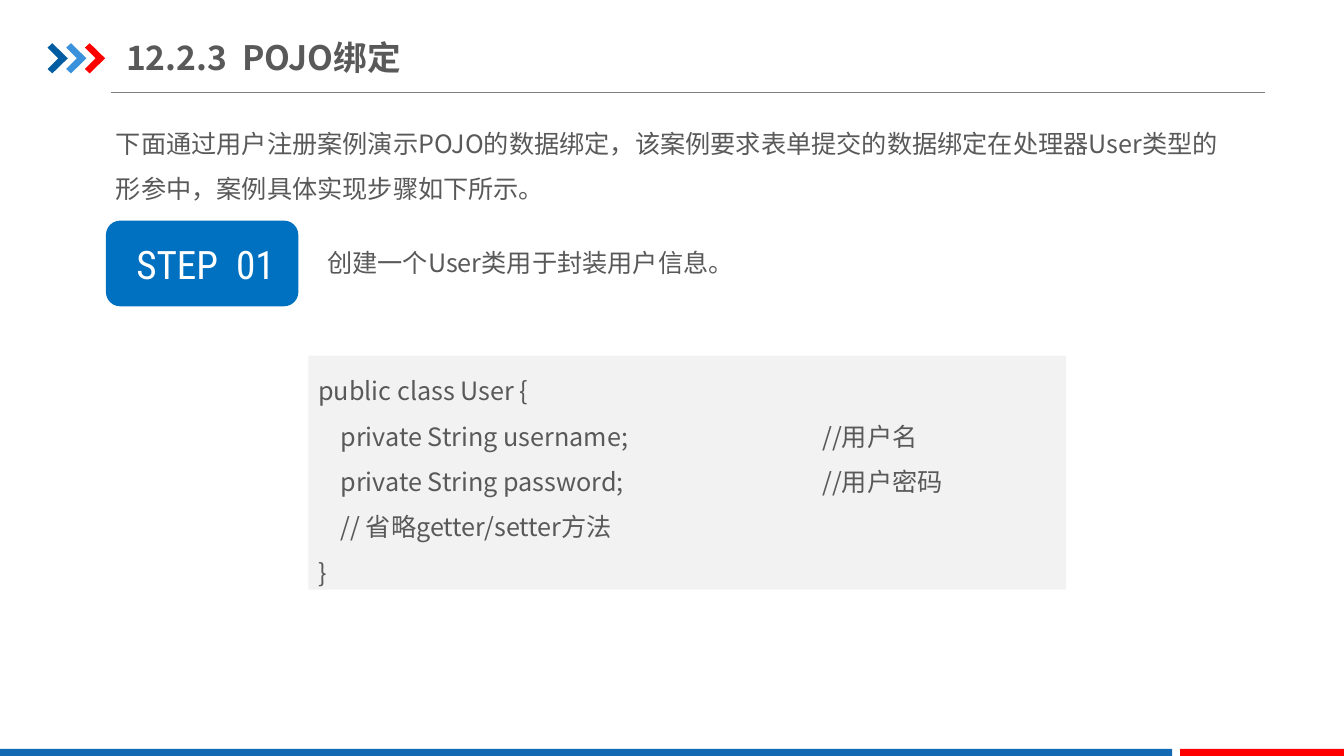
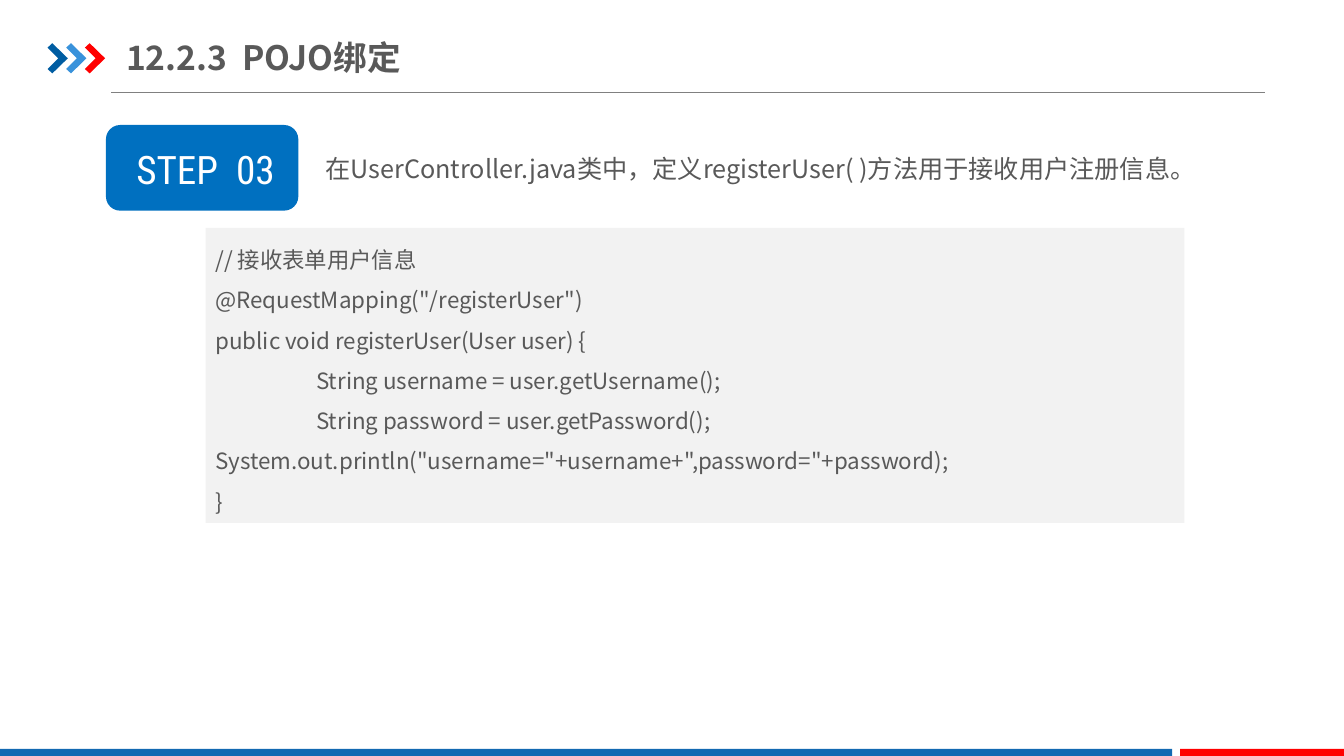
from dataclasses import dataclass

from lxml.etree import SubElement
from pptx import Presentation
from pptx.dml.color import RGBColor
from pptx.enum.shapes import MSO_CONNECTOR, MSO_SHAPE
from pptx.enum.text import MSO_ANCHOR, MSO_AUTO_SIZE, PP_ALIGN
from pptx.oxml.ns import qn
from pptx.util import Cm, Pt


@dataclass(frozen=True)
class Theme:
    text: str = "595959"
    white: str = "FFFFFF"
    rule: str = "808080"
    step: str = "0070C0"
    code: str = "F2F2F2"
    band: str = "1369B2"
    accent: str = "FF0000"
    chevrons: tuple = ("005DA2", "3992DB", "FF0000")
    font: str = "Noto Sans CJK SC"
    step_font: str = "Roboto Condensed"
    title_size: int = 24
    step_size: int = 28
    body_size: int = 18
    small_size: int = 16


T = Theme()
WIDTH, HEIGHT = 33.87, 19.05
TITLE = "12.2.3  POJO绑定"
CHEVRON = [(0, 0.11), (0.12, 0), (0.51, 0.38), (0.12, 0.76), (0, 0.65), (0.27, 0.38)]

# Boxes are (left, top, width, height) in centimetres; tabs are stops in centimetres.
SLIDES = [
    {
        "intro": {
            "text": "下面通过用户注册案例演示POJO的数据绑定，该案例要求表单提交的数据绑定在处理器User类型的形参中，案例具体实现步骤如下所示。",
            "box": (2.67, 2.72, 28.85, 2.57),
        },
        "step": {"text": "STEP  01", "top": 5.56},
        "task": {
            "text": "创建一个User类用于封装用户信息。",
            "box": (8, 5.72, 22.38, 1.4),
        },
        "code": {
            "lines": [
                "public class User {",
                "\tprivate String username;\t//用户名",
                "\tprivate String password;\t//用户密码",
                "\t// 省略getter/setter方法",
                "}",
            ],
            "box": (7.77, 8.96, 19.1, 5.9),
            "size": T.body_size,
            "tabs": (0.56, 12.7),
        },
    },
    {
        "step": {"text": "STEP  03", "top": 3.15},
        "task": {
            "text": "在UserController.java类中，定义registerUser( )方法用于接收用户注册信息。",
            "box": (7.95, 3.36, 23.57, 1.4),
        },
        "code": {
            "lines": [
                "// 接收表单用户信息",
                '@RequestMapping("/registerUser")',
                "public void registerUser(User user) {",
                "\tString username = user.getUsername();",
                "\tString password = user.getPassword();",
                'System.out.println("username="+username+",password="+password);',
                "}",
            ],
            "box": (5.18, 5.74, 24.67, 7.44),
            "size": T.small_size,
            "tabs": (2.54,),
        },
    },
]


def rgb(value):
    return RGBColor.from_string(value)


def paint(sp, color):
    """Give a shape a flat fill without outline or shadow."""
    sp.shadow.inherit = False
    sp.fill.solid()
    sp.fill.fore_color.rgb = rgb(color)
    sp.line.fill.background()
    return sp


def add_block(s, kind, box, color):
    return paint(s.shapes.add_shape(kind, *map(Cm, box)), color)


def add_textbox(s, box):
    return s.shapes.add_textbox(*map(Cm, box))


def write(sp, lines, *, size=T.body_size, color=T.text, font=T.font, bold=False,
          align=PP_ALIGN.LEFT, anchor=MSO_ANCHOR.TOP, spacing=None, grow=True,
          insets=None, tabs=()):
    """Write one paragraph per line into a shape."""
    tf = sp.text_frame
    tf.word_wrap = True
    tf.vertical_anchor = anchor
    tf.auto_size = MSO_AUTO_SIZE.SHAPE_TO_FIT_TEXT if grow else MSO_AUTO_SIZE.NONE
    if insets:
        tf.margin_left = tf.margin_right = Cm(insets[0])
        tf.margin_top = tf.margin_bottom = Cm(insets[1])
    for i, line in enumerate(lines):
        p = tf.add_paragraph() if i else tf.paragraphs[0]
        p.alignment = align
        if spacing:
            p.line_spacing = spacing
        if tabs:
            stops = SubElement(p._p.get_or_add_pPr(), qn("a:tabLst"))
            for stop in tabs:
                SubElement(stops, qn("a:tab"), pos=str(Cm(stop)), algn="l")
        r = p.add_run()
        r.text = line
        r.font.size = Pt(size)
        r.font.bold = bold
        r.font.name = font
        r.font.color.rgb = rgb(color)
        SubElement(r._r.get_or_add_rPr(), qn("a:ea"), typeface=font)


def add_frame(s):
    """Draw the rule, chevrons, footer bands and title shared by all slides."""
    rule = s.shapes.add_connector(MSO_CONNECTOR.STRAIGHT, Cm(2.8), Cm(2.32), Cm(31.88), Cm(2.32))
    rule.line.color.rgb = rgb(T.rule)
    rule.line.width = Pt(0.5)
    SubElement(rule.element.spPr, qn("a:effectLst"))

    group = s.shapes.add_group_shape()
    for i, color in enumerate(T.chevrons):
        points = [(Cm(1.2 + 0.47 * i + x), Cm(1.09 + y)) for x, y in CHEVRON]
        outline = group.shapes.build_freeform(*points[0])
        outline.add_line_segments(points[1:], close=True)
        paint(outline.convert_to_shape(), color)

    band_top, band_end, accent_left = 18.87, 29.54, 29.74
    for left, right, color in ((0, band_end, T.band), (accent_left, WIDTH, T.accent)):
        add_block(s, MSO_SHAPE.RECTANGLE,
                  (left, band_top, right - left, HEIGHT - band_top), color)

    write(add_textbox(s, (3.18, 0.74, 7.87, 1.4)), [TITLE], size=T.title_size, bold=True,
          anchor=MSO_ANCHOR.MIDDLE, grow=False, insets=(0, 0.18))


def add_step(s, text, top):
    add_block(s, MSO_SHAPE.ROUNDED_RECTANGLE, (2.67, top, 4.85, 2.16), T.step)
    write(add_textbox(s, (2.92, top + 0.38, 4.52, 1.45)), [text], size=T.step_size,
          color=T.white, font=T.step_font, align=PP_ALIGN.CENTER)


def add_body(s, text, box):
    write(add_textbox(s, box), [text], spacing=1.5)


def add_code(s, lines, box, size, tabs):
    sp = add_block(s, MSO_SHAPE.RECTANGLE, box, T.code)
    write(sp, lines, size=size, spacing=1.5, tabs=tabs)


def main():
    prs = Presentation()
    prs.slide_width, prs.slide_height = Cm(WIDTH), Cm(HEIGHT)
    builders = {"intro": add_body, "step": add_step, "task": add_body, "code": add_code}
    for content in SLIDES:
        s = prs.slides.add_slide(prs.slide_layouts[6])
        add_frame(s)
        for part, values in content.items():
            builders[part](s, **values)
    prs.save("out.pptx")


if __name__ == "__main__":
    main()
